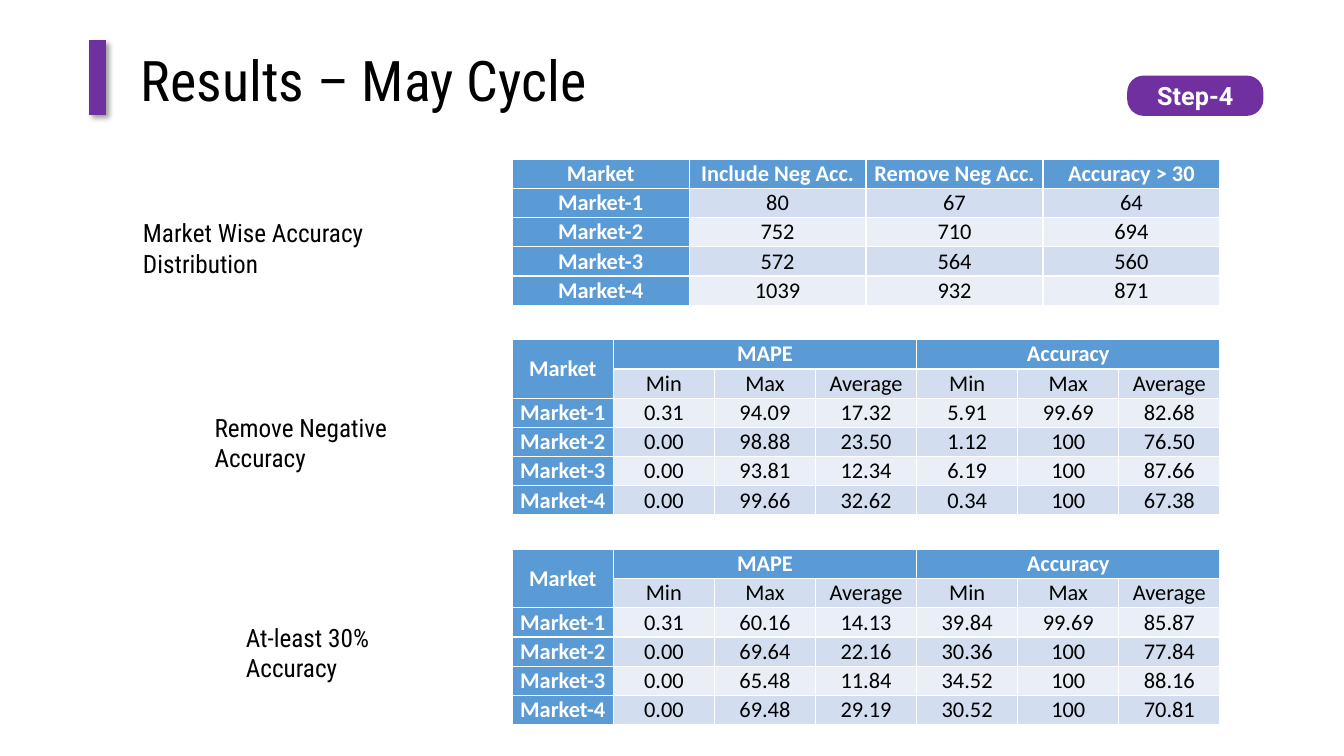
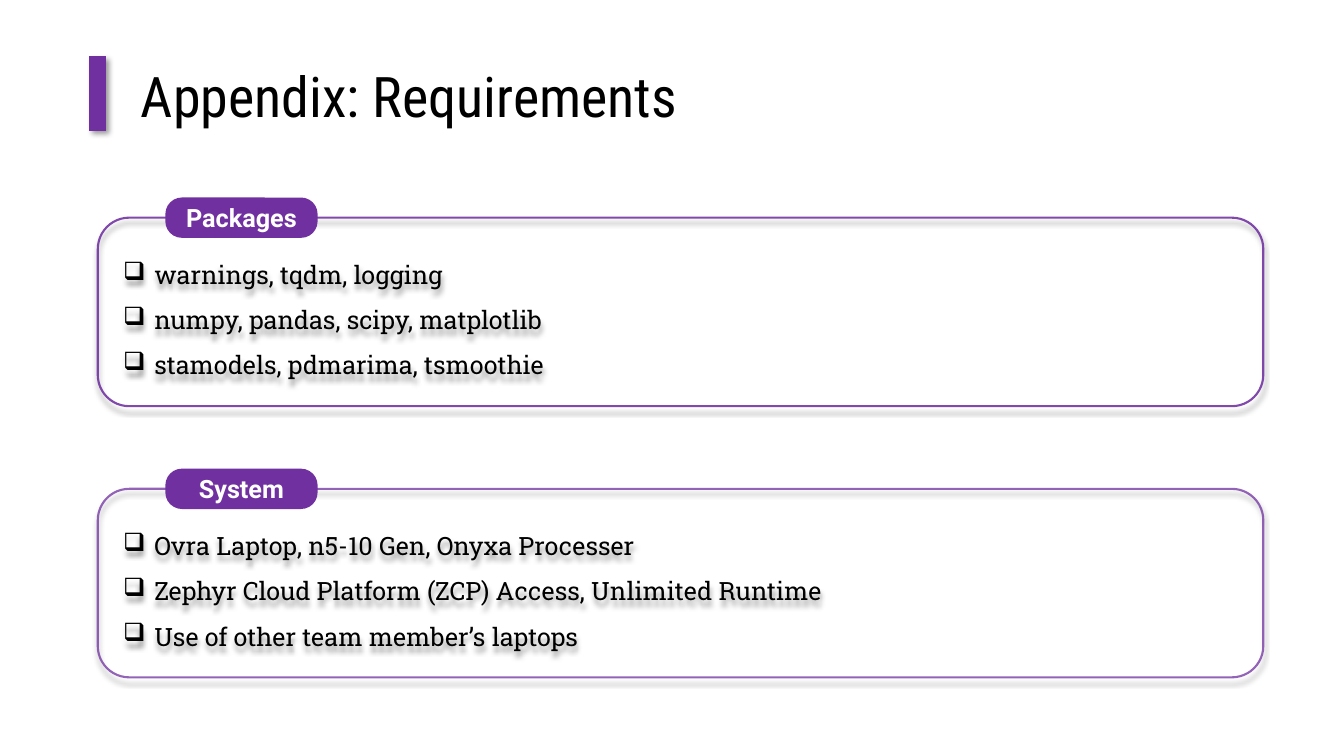
from lxml import etree
from pptx import Presentation
from pptx.dml.color import RGBColor
from pptx.enum.shapes import MSO_CONNECTOR, MSO_SHAPE
from pptx.enum.text import MSO_ANCHOR, PP_ALIGN
from pptx.oxml import parse_xml
from pptx.oxml.ns import nsdecls, qn
from pptx.util import Inches, Pt

ROUNDED = MSO_SHAPE.ROUNDED_RECTANGLE
STRAIGHT = MSO_CONNECTOR.STRAIGHT
MIDDLE = MSO_ANCHOR.MIDDLE
LEFT, CENTER, JUSTIFY = PP_ALIGN.LEFT, PP_ALIGN.CENTER, PP_ALIGN.JUSTIFY

PURPLE, BLACK, WHITE = "7030A0", "000000", "FFFFFF"
HEADER_BLUE, BAND_DARK, BAND_LIGHT = "5B9BD5", "D2DEEF", "EAEFF7"
HEADING_FONT, PILL_FONT = "Roboto Condensed", "Roboto"
BODY_FONT, TABLE_FONT = "Roboto Slab", "Calibri"


def write_text(text_frame, text, font, size, color=BLACK, bold=False, align=LEFT):
    text_frame.text = text
    for paragraph in text_frame.paragraphs:
        paragraph.alignment = align
        for run in paragraph.runs:
            run.font.name = font
            run.font.size = Pt(size)
            run.font.bold = bold
            run.font.color.rgb = RGBColor.from_string(color)


def add_shadow(shape, degrees):
    shape._element.spPr.append(parse_xml(
        f'<a:effectLst {nsdecls("a")}>'
        f'<a:outerShdw blurRad="{Pt(4)}" dist="{Pt(3)}" dir="{degrees * 60000}" algn="tl" rotWithShape="0">'
        f'<a:srgbClr val="{BLACK}"><a:alpha val="40000"/></a:srgbClr>'
        '</a:outerShdw></a:effectLst>'))


presentation = Presentation()
presentation.slide_width = Inches(13.33)
presentation.slide_height = Inches(7.5)
blank_layout = presentation.slide_layouts[6]

# Slides with their title and purple bar
slides = []
for title, top in [("Results – May Cycle", 0.4), ("Appendix: Requirements", 0.56)]:
    slide = presentation.slides.add_slide(blank_layout)
    slides.append(slide)
    bar = slide.shapes.add_connector(
        STRAIGHT, Inches(0.97), Inches(top), Inches(0.97), Inches(top + 0.74))
    bar.line.color.rgb = RGBColor.from_string(PURPLE)
    bar.line.width = Pt(12)
    add_shadow(bar, 45)
    title_box = slide.shapes.add_textbox(Inches(1.3), Inches(top), Inches(11.07), Inches(0.77))
    title_box.text_frame.word_wrap = True
    title_box.text_frame.vertical_anchor = MIDDLE
    write_text(title_box.text_frame, title, HEADING_FONT, 40)
results_slide, requirements_slide = slides

# Result tables
group_headers = [
    ["Market", "MAPE", "", "", "Accuracy", "", ""],
    ["", "Min", "Max", "Average", "Min", "Max", "Average"],
]
distribution = [
    ["Market", "Include Neg Acc.", "Remove Neg Acc.", "Accuracy > 30"],
    ["Market-1", "80", "67", "64"],
    ["Market-2", "752", "710", "694"],
    ["Market-3", "572", "564", "560"],
    ["Market-4", "1039", "932", "871"],
]
without_negative = group_headers + [
    ["Market-1", "0.31", "94.09", "17.32", "5.91", "99.69", "82.68"],
    ["Market-2", "0.00", "98.88", "23.50", "1.12", "100", "76.50"],
    ["Market-3", "0.00", "93.81", "12.34", "6.19", "100", "87.66"],
    ["Market-4", "0.00", "99.66", "32.62", "0.34", "100", "67.38"],
]
at_least_30 = group_headers + [
    ["Market-1", "0.31", "60.16", "14.13", "39.84", "99.69", "85.87"],
    ["Market-2", "0.00", "69.64", "22.16", "30.36", "100", "77.84"],
    ["Market-3", "0.00", "65.48", "11.84", "34.52", "100", "88.16"],
    ["Market-4", "0.00", "69.48", "29.19", "30.52", "100", "70.81"],
]
group_spans = [(0, 0, 1, 0), (0, 1, 0, 3), (0, 4, 0, 6)]
tables = [
    (1.58, distribution, []),
    (3.37, without_negative, group_spans),
    (5.45, at_least_30, group_spans),
]
for top, rows, spans in tables:
    frame = results_slide.shapes.add_table(
        len(rows), len(rows[0]), Inches(5.08), Inches(top),
        Inches(7.02), Inches(0.29 * len(rows)))
    table = frame.table
    table.first_col = True
    for row_index, values in enumerate(rows):
        for column_index, value in enumerate(values):
            cell = table.cell(row_index, column_index)
            is_header = row_index == 0 or column_index == 0
            band = BAND_DARK if row_index % 2 else BAND_LIGHT
            cell.fill.solid()
            cell.fill.fore_color.rgb = RGBColor.from_string(HEADER_BLUE if is_header else band)
            cell.margin_left = cell.margin_right = Inches(0.07)
            cell.margin_top = cell.margin_bottom = 0
            cell.vertical_anchor = MIDDLE
            write_text(cell.text_frame, value, TABLE_FONT, 16,
                       WHITE if is_header else BLACK, is_header, CENTER)
    for first_row, first_column, last_row, last_column in spans:
        table.cell(first_row, first_column).merge(table.cell(last_row, last_column))

# Table captions, which share their right edge
captions = [
    ("Market Wise Accuracy Distribution", 1.32, 2.11),
    ("Remove Negative Accuracy", 2.03, 4.04),
    ("At-least 30% Accuracy", 2.34, 6.12),
]
for text, left, top in captions:
    caption = results_slide.shapes.add_textbox(
        Inches(left), Inches(top), Inches(4.69 - left), Inches(0.4))
    caption.text_frame.word_wrap = True
    caption.text_frame.margin_right = Inches(0.6)
    write_text(caption.text_frame, text, HEADING_FONT, 18)

# Requirement panels
panels = [
    (2.16, 88, ["warnings, tqdm, logging",
                "numpy, pandas, scipy, matplotlib",
                "stamodels, pdmarima, tsmoothie"]),
    (4.85, 75, ["Ovra Laptop, n5-10 Gen, Onyxa Processer",
                "Zephyr Cloud Platform (ZCP) Access, Unlimited Runtime",
                "Use of other team member’s laptops"]),
]
for top, opacity, items in panels:
    panel = requirements_slide.shapes.add_shape(
        ROUNDED, Inches(0.97), Inches(top), Inches(11.56), Inches(1.87))
    panel.fill.background()
    panel.line.color.rgb = RGBColor.from_string(PURPLE)
    panel.line.width = Pt(1.5)
    line_color = panel._element.spPr.find(".//" + qn("a:ln") + "//" + qn("a:srgbClr"))
    etree.SubElement(line_color, qn("a:alpha"), val=str(opacity * 1000))
    add_shadow(panel, 90)
    text_frame = panel.text_frame
    text_frame.word_wrap = True
    text_frame.vertical_anchor = MIDDLE
    text_frame.margin_left = text_frame.margin_right = Inches(0.16)
    text_frame.margin_top = text_frame.margin_bottom = Inches(0.16)
    write_text(text_frame, "\n".join(items), BODY_FONT, 18, align=JUSTIFY)
    for paragraph in text_frame.paragraphs:
        paragraph.line_spacing = 1.5
        properties = paragraph._p.get_or_add_pPr()
        properties.set("marL", str(Inches(0.31)))
        properties.set("indent", str(-Inches(0.31)))
        etree.SubElement(properties, qn("a:buChar"), char="❑")

# Purple pills
pills = [
    (results_slide, "Step-4", 11.18, 0.75, 1.35),
    (requirements_slide, "Packages", 1.64, 1.96, 1.51),
    (requirements_slide, "System", 1.64, 4.65, 1.51),
]
for slide, text, left, top, width in pills:
    pill = slide.shapes.add_shape(ROUNDED, Inches(left), Inches(top), Inches(width), Inches(0.4))
    pill.adjustments[0] = 0.41
    pill.shadow.inherit = False
    pill.fill.solid()
    pill.fill.fore_color.rgb = RGBColor.from_string(PURPLE)
    pill.line.fill.background()
    pill.text_frame.margin_top = pill.text_frame.margin_bottom = 0
    pill.text_frame.vertical_anchor = MIDDLE
    write_text(pill.text_frame, text, PILL_FONT, 18, WHITE, True, CENTER)

presentation.save("out.pptx")
